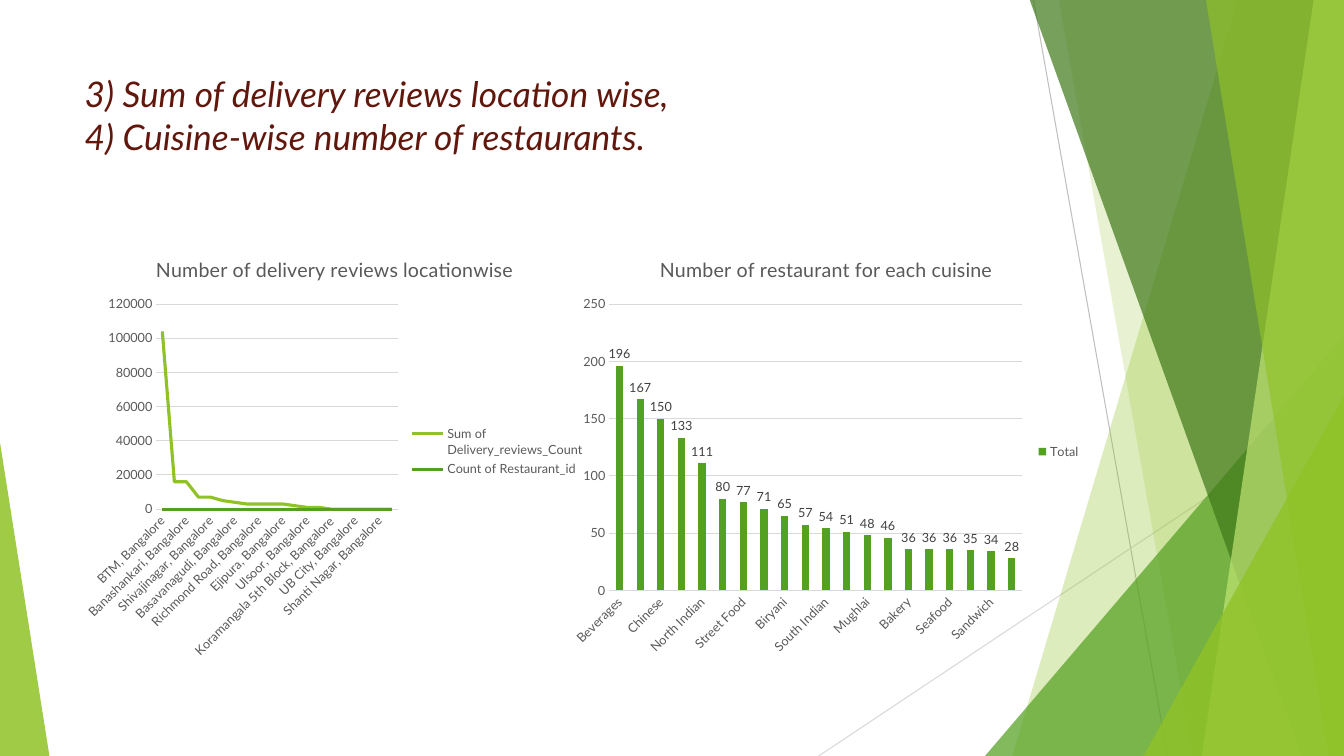
from lxml.etree import SubElement
from pptx import Presentation
from pptx.chart.data import CategoryChartData
from pptx.dml.color import RGBColor
from pptx.enum.chart import XL_CHART_TYPE as CT, XL_LABEL_POSITION as LP
from pptx.enum.chart import XL_LEGEND_POSITION as LEG, XL_TICK_MARK as TICK
from pptx.enum.shapes import MSO_CONNECTOR, MSO_SHAPE
from pptx.enum.text import MSO_ANCHOR, PP_ALIGN
from pptx.oxml import parse_xml
from pptx.oxml.ns import nsdecls, qn
from pptx.util import Inches, Pt

LIME = RGBColor(0x90, 0xC2, 0x26)
GREEN = RGBColor(0x54, 0xA0, 0x21)
FOREST = RGBColor(0x3F, 0x78, 0x19)
PALE = RGBColor(0xC0, 0xE4, 0x74)
MAROON = RGBColor(0x62, 0x17, 0x0D)
GREY = RGBColor(0x59, 0x59, 0x59)
DARK = RGBColor(0x40, 0x40, 0x40)
SILVER = RGBColor(0xBF, 0xBF, 0xBF)
RULE = RGBColor(0xD9, 0xD9, 0xD9)
FONT = "Lato"
W, H = 13.33, 7.5

AREAS = ["BTM", "Nagawara", "Banashankari", "Kumaraswamy Layout", "Shivajinagar",
         "Vijay Nagar", "Basavanagudi", "Indiranagar", "Richmond Road",
         "Kammanahalli", "Ejipura", "Seshadripuram", "Ulsoor", "Vasanth Nagar",
         "Koramangala 5th Block", "Rajajinagar", "UB City", "Koramangala 8th Block",
         "Shanti Nagar", "Jatti Building, Koramangala 5th Block"]
REVIEWS = [104000, 16000, 16000, 7000, 7000, 5000, 4000, 3000, 3000, 3000,
           3000, 2000, 1000, 1000] + [0] * 6
CUISINES = [" Beverages", " Desserts", " Chinese", " Fast Food", " North Indian",
            "North Indian", " Street Food", " Shake", " Biryani", "South Indian",
            " South Indian", "Biryani", " Mughlai", " Sichuan", "Bakery",
            " Ice Cream", " Seafood", "Chinese", " Sandwich", " Rolls"]
RESTAURANTS = [196, 167, 150, 133, 111, 80, 77, 71, 65, 57,
               54, 51, 48, 46, 36, 36, 36, 35, 34, 28]


def set_font(font, size, color, italic=False):
    font.name, font.size, font.bold, font.italic = FONT, Pt(size), False, italic
    font.color.rgb = color


def write(tf, text, size, color, italic=False, align=PP_ALIGN.LEFT):
    p = tf.paragraphs[0]
    p.alignment = align
    for i, line in enumerate(text.split("\n")):
        if i:
            p.add_line_break()
        r = p.add_run()
        r.text = line
        set_font(r.font, size, color, italic)


def paint(sp, color, opacity):
    sp.shadow.inherit = False
    sp.fill.solid()
    sp.fill.fore_color.rgb = color
    sp.line.fill.background()
    clr = sp.fill._xPr.find(qn("a:solidFill"))[0]
    SubElement(clr, qn("a:alpha")).set("val", str(opacity * 1000))


def add_line(s, x1, y1, x2, y2, color):
    ln = s.shapes.add_connector(MSO_CONNECTOR.STRAIGHT, *map(Inches, (x1, y1, x2, y2)))
    ln.line.color.rgb, ln.line.width = color, Pt(0.75)
    SubElement(ln.element.spPr, qn("a:effectLst"))


def add_band(s, top_left, bottom_left, color, opacity):
    fb = s.shapes.build_freeform(Inches(top_left), Inches(-0.01))
    corners = [(W, -0.01), (W, H), (bottom_left, H)]
    fb.add_line_segments([(Inches(x), Inches(y)) for x, y in corners], close=True)
    paint(fb.convert_to_shape(), color, opacity)


def add_corner(s, left, top, width, apex, color, opacity):
    sp = s.shapes.add_shape(MSO_SHAPE.ISOSCELES_TRIANGLE,
                            *map(Inches, (left, top, width, H - top)))
    sp.adjustments[0] = apex
    paint(sp, color, opacity)


def add_facets(s):
    add_line(s, 10.25, 0, 11.58, H, SILVER)
    add_line(s, W, 4.03, 8.12, H, RULE)
    add_band(s, 12.28, 10.04, LIME, 30)
    add_band(s, 10.5, 11.83, LIME, 20)
    add_corner(s, 9.77, 3.33, 3.56, 1, GREEN, 72)
    add_band(s, 10.21, 12.91, FOREST, 70)
    add_band(s, 13.03, 11.92, PALE, 70)
    add_band(s, 11.96, 13.18, LIME, 65)
    add_corner(s, 11.34, 3.93, 1.99, 1, LIME, 80)
    add_corner(s, 0, 4.39, 0.49, 0, LIME, 85)


def add_title(s, x, y, w, h, text):
    sp = s.shapes.title
    sp.left, sp.top, sp.width, sp.height = map(Inches, (x, y, w, h))
    sp.element.getparent().append(sp.element)
    sp.text_frame.vertical_anchor = MSO_ANCHOR.TOP
    sp.text_frame.word_wrap = True
    write(sp.text_frame, text, 25.2, MAROON, italic=True)


def place_plot(chart, x, y, w, h):
    area = chart.element.chart.plotArea
    for old in area.findall(qn("c:layout")):
        area.remove(old)
    sizes = "".join(f'<c:{k} val="{v}"/>' for k, v in zip("xywh", (x, y, w, h)))
    area.insert(0, parse_xml(
        f'<c:layout {nsdecls("c")}><c:manualLayout><c:layoutTarget val="inner"/>'
        f'<c:xMode val="edge"/><c:yMode val="edge"/>{sizes}</c:manualLayout></c:layout>'))


def add_chart(s, kind, box, title, cats, series, plot_box):
    data = CategoryChartData()
    data.categories = cats
    for name, vals in series:
        data.add_series(name, vals)
    chart = s.shapes.add_chart(kind, *map(Inches, box), data).chart
    set_font(chart.font, 10, GREY)
    write(chart.chart_title.text_frame, title, 14, GREY, align=PP_ALIGN.CENTER)
    chart.chart_title.include_in_layout = False
    chart.has_legend = True
    chart.legend.position = LEG.RIGHT
    chart.legend.include_in_layout = False
    set_font(chart.legend.font, 9, GREY)
    for axis in (chart.category_axis, chart.value_axis):
        axis.major_tick_mark = axis.minor_tick_mark = TICK.NONE
        set_font(axis.tick_labels.font, 9, GREY)
    chart.category_axis.format.line.color.rgb = RULE
    chart.category_axis.format.line.width = Pt(0.75)
    chart.category_axis._element.txPr.find(qn("a:bodyPr")).set("rot", "-2700000")
    chart.value_axis.format.line.fill.background()
    grid = chart.value_axis.major_gridlines.format.line
    grid.color.rgb, grid.width = RULE, Pt(0.75)
    place_plot(chart, *plot_box)
    return chart


def add_cuisine_chart(s, x, y, w, h):
    chart = add_chart(s, CT.COLUMN_CLUSTERED, (x, y, w, h),
                      "Number of restaurant for each cuisine", CUISINES,
                      [("Total", RESTAURANTS)], (0.09, 0.155, 0.78, 0.67))
    chart.value_axis.maximum_scale, chart.value_axis.major_unit = 250, 50
    plot = chart.plots[0]
    plot.gap_width, plot.vary_by_categories = 182, False
    bars = plot.series[0]
    bars.format.fill.solid()
    bars.format.fill.fore_color.rgb = GREEN
    labels = bars.data_labels
    labels.show_value, labels.position = True, LP.OUTSIDE_END
    set_font(labels.font, 9, DARK)


def add_review_chart(s, x, y, w, h):
    chart = add_chart(s, CT.LINE, (x, y, w, h),
                      "Number of delivery reviews locationwise",
                      [f"{area}, Bangalore" for area in AREAS],
                      [("Sum of Delivery_reviews_Count", REVIEWS),
                       ("Count of Restaurant_id", [0] * len(AREAS))],
                      (0.157, 0.155, 0.464, 0.48))
    chart.value_axis.maximum_scale, chart.value_axis.major_unit = 120000, 20000
    chart.plots[0].vary_by_categories = False
    for ser, color in zip(chart.plots[0].series, (LIME, GREEN)):
        ser.smooth = False
        ser.format.line.color.rgb, ser.format.line.width = color, Pt(2.25)


def main():
    prs = Presentation()
    prs.slide_width, prs.slide_height = Inches(W), Inches(H)
    s = prs.slides.add_slide(prs.slide_layouts[5])
    add_facets(s)
    add_title(s, 0.74, 0.67, 9.4, 1.44, "3) Sum of delivery reviews location wise,\n"
              "4) Cuisine-wise number of restaurants.")
    add_cuisine_chart(s, 5.57, 2.36, 5.25, 4.24)
    add_review_chart(s, 0.74, 2.36, 5.16, 4.24)
    prs.save("out.pptx")


if __name__ == "__main__":
    main()
